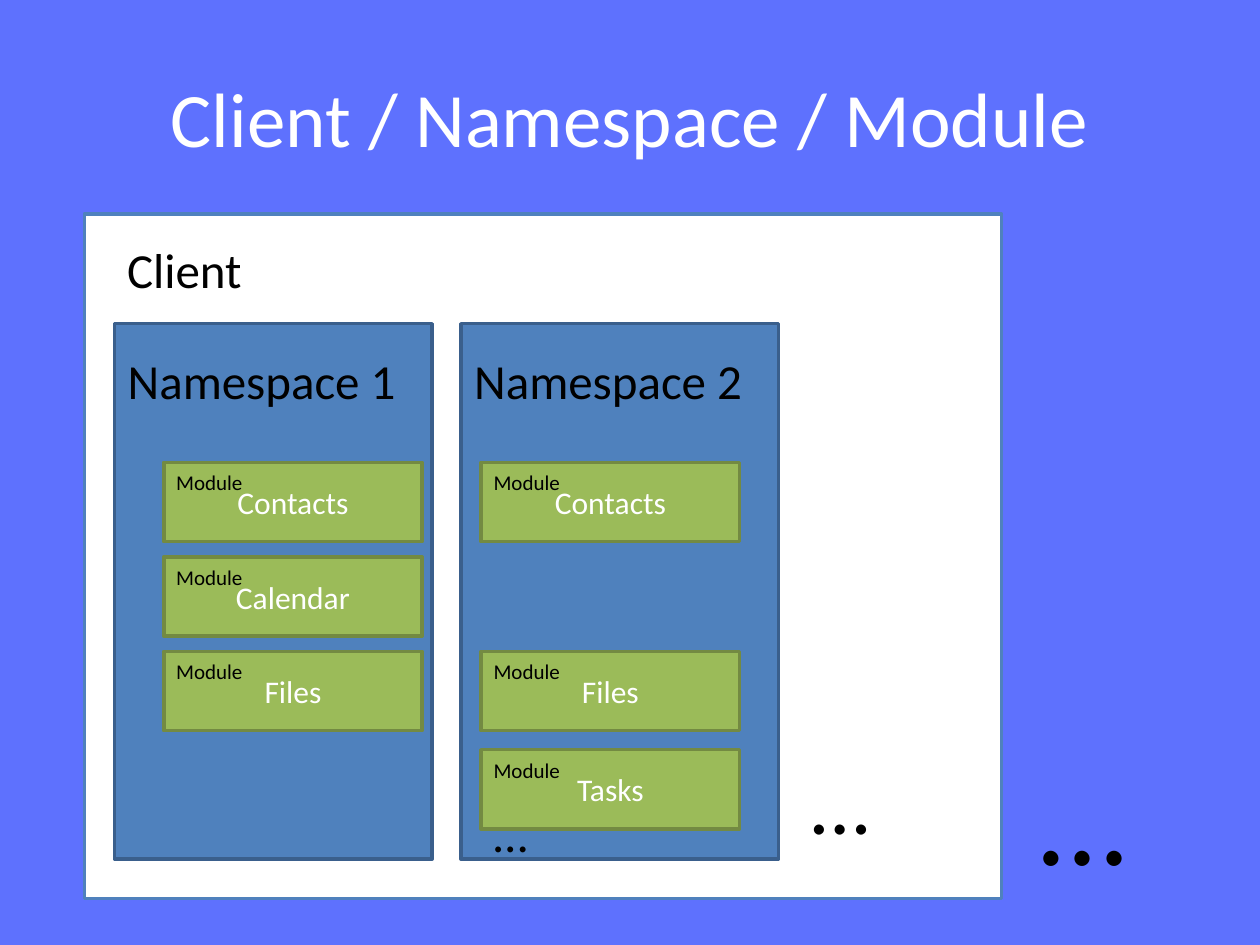
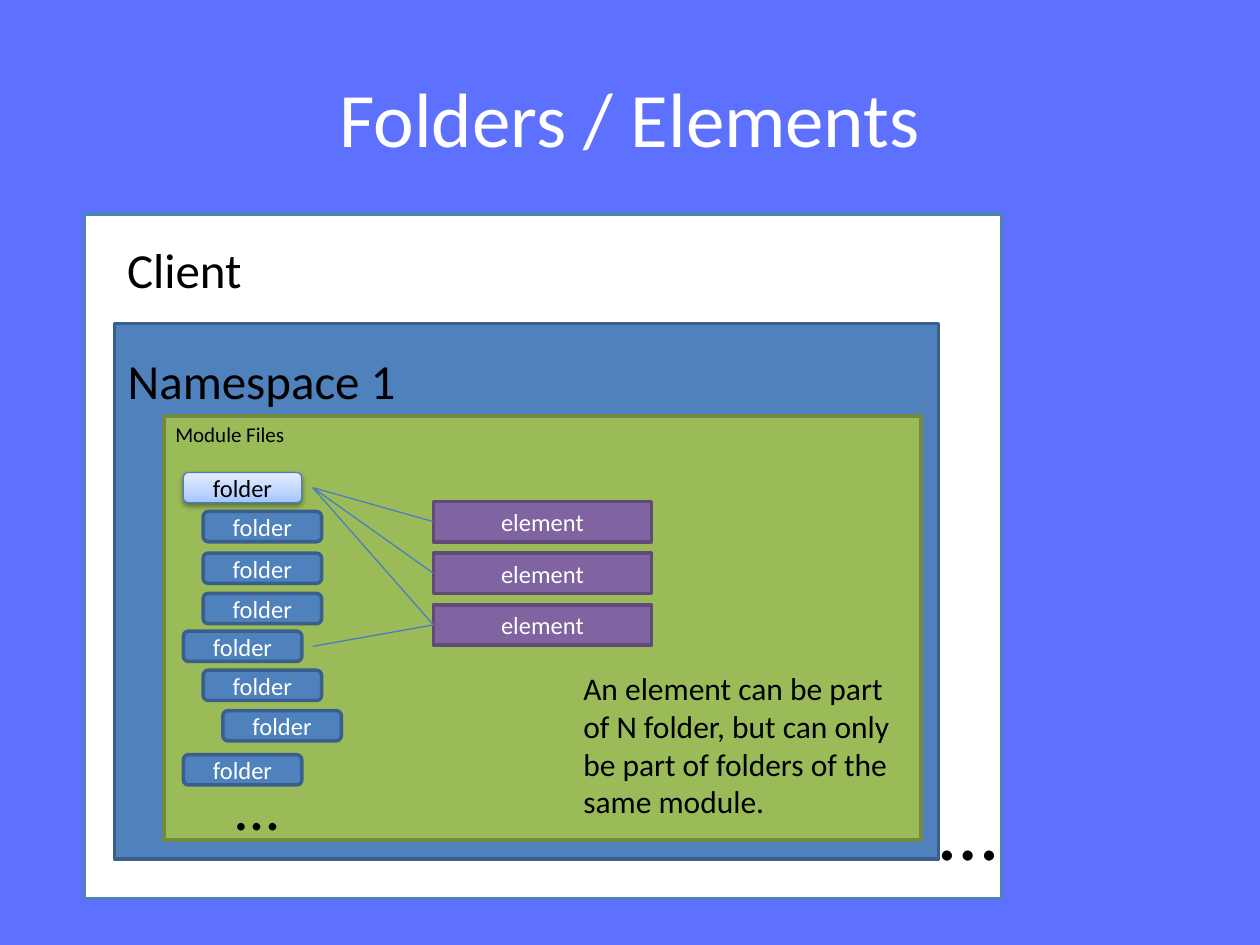
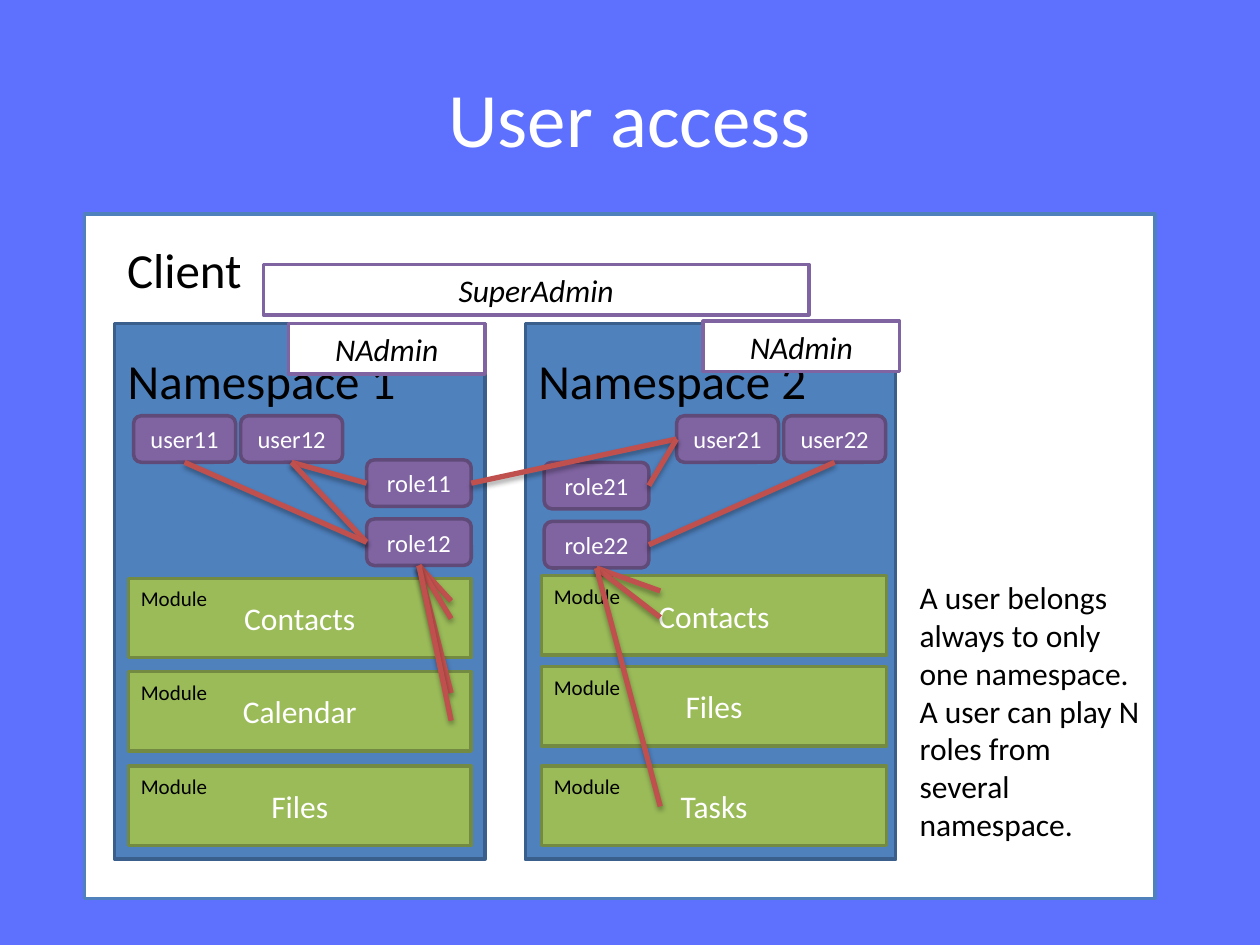
"""Three slides on clients, namespaces, modules, folders and user access."""
from copy import deepcopy
from dataclasses import dataclass

from lxml import etree
from pptx import Presentation
from pptx import util as u
from pptx.dml import color
from pptx.enum import shapes, text
from pptx.oxml import ns

Pt = u.Pt
RECT = shapes.MSO_SHAPE.RECTANGLE
ROUNDED = shapes.MSO_SHAPE.ROUNDED_RECTANGLE


@dataclass(frozen=True)
class Theme:
    """Colours, as fill and outline pairs where needed, and type sizes."""
    font: str = "Calibri"
    backdrop: str = "5E71FE"
    white: str = "FFFFFF"
    black: str = "000000"
    client: tuple = ("FFFFFF", "4F81BD")
    blue: tuple = ("4F81BD", "3A5F8C")
    green: tuple = ("9BBB59", "738A42")
    purple: tuple = ("8064A2", "5F4A78")
    admin: tuple = ("FFFFFF", "8064A2")
    glow: tuple = ((0, "A4C4FF"), (0.35, "BFD4FF"), (1, "E6EEFF"))
    thin_line: str = "4B7EBC"
    access_line: str = "C0504D"
    title: int = 44
    heading: int = 28
    body: int = 18
    chip: int = 14
    small: int = 12


THEME = Theme()


@dataclass(frozen=True)
class Box:
    """A rectangle on the slide, in points."""
    left: float
    top: float
    width: float
    height: float

    def inner(self, left, top, width, height):
        """Return a box placed relative to this one."""
        return Box(self.left + left, self.top + top, width, height)

    def point(self, across, down):
        """Return a point given as fractions of width and height."""
        return self.left + across * self.width, self.top + down * self.height

    def lengths(self):
        """Return left, top, width and height as lengths."""
        return [Pt(v) for v in (self.left, self.top, self.width, self.height)]


CLIENT = Box(48.2, 122.4, 524.2, 391)


def rgb(value):
    """Turn a hex string into a colour."""
    return color.RGBColor.from_string(value)


def add_words(frame, words, size, ink, align=text.PP_ALIGN.LEFT, italic=False):
    """Write one run into the first paragraph of a text frame."""
    para = frame.paragraphs[0]
    para.alignment = align
    span = para.add_run()
    span.text = words
    span.font.name = THEME.font
    span.font.size = Pt(size)
    span.font.italic = italic
    span.font.color.rgb = rgb(ink)


def add_label(page, box, words, size, wrap=True):
    """Place black text that sizes its box."""
    frame = page.shapes.add_textbox(*box.lengths()).text_frame
    frame.word_wrap = wrap
    frame.auto_size = text.MSO_AUTO_SIZE.SHAPE_TO_FIT_TEXT
    add_words(frame, words, size, THEME.black)


def add_dots(page, box, size):
    """Place an ellipsis that stands for further items."""
    add_label(page, box, "…", size, wrap=False)


def add_block(page, box, colours, words="", size=THEME.body, kind=RECT,
              ink=THEME.white, italic=False):
    """Draw an outlined shape, with centred words if given."""
    block = page.shapes.add_shape(kind, *box.lengths())
    block.shadow.inherit = False
    fill, line = colours
    block.fill.solid()
    block.fill.fore_color.rgb = rgb(fill)
    block.line.color.rgb = rgb(line)
    block.line.width = Pt(2)
    if words:
        block.text_frame.vertical_anchor = text.MSO_ANCHOR.MIDDLE
        add_words(block.text_frame, words, size, ink,
                  text.PP_ALIGN.CENTER, italic)
    return block


def add_shadow(effects, alpha, distance):
    """Put a soft shadow that falls straight down into an effect list."""
    outer = etree.SubElement(
        effects, ns.qn("a:outerShdw"), blurRad=str(Pt(3.1)),
        dist=str(Pt(distance)), dir="5400000", rotWithShape="0")
    tint = etree.SubElement(outer, ns.qn("a:srgbClr"), val=THEME.black)
    etree.SubElement(tint, ns.qn("a:alpha"), val=str(alpha * 1000))


def add_line(page, start, end, ink, width, shadow=False):
    """Draw a straight line between two points."""
    line = page.shapes.add_connector(
        shapes.MSO_CONNECTOR.STRAIGHT, *[Pt(v) for v in (*start, *end)])
    line.line.color.rgb = rgb(ink)
    line.line.width = Pt(width)
    effects = etree.SubElement(line._element.spPr, ns.qn("a:effectLst"))
    if shadow:
        add_shadow(effects, 35, 1.8)


def add_page(deck, words):
    """Add a slide with its title."""
    page = deck.slides.add_slide(deck.slide_layouts[5])
    title = page.shapes.title
    title.left, title.top, title.width, title.height = Box(
        36, 21.6, 648, 90).lengths()
    title.text_frame.vertical_anchor = text.MSO_ANCHOR.MIDDLE
    add_words(title.text_frame, words, THEME.title, THEME.white,
              text.PP_ALIGN.CENTER)
    return page


def add_client(page, box):
    """Draw the white client panel with its heading."""
    add_block(page, box, THEME.client)
    add_label(page, box.inner(17.3, 10.8, 80.6, 41), "Client",
              THEME.heading, wrap=False)


def add_namespace(page, client, number, left, width):
    """Draw a blue namespace in the client and return its box."""
    box = client.inner(left, 62.6, width, 306)
    add_block(page, box, THEME.blue)
    add_label(page, box.inner(0.4, 11.5, 169.2, 41), f"Namespace {number}",
              THEME.heading, wrap=False)
    return box


def add_modules(page, namespace, left, width, modules):
    """Draw green modules at their heights in a namespace."""
    for name, top in modules:
        box = namespace.inner(left, top, width, 45.4)
        add_block(page, box, THEME.green, name)
        add_label(page, box.inner(0, 0.8, 62.6, 21.6), "Module", THEME.small)


def add_folders(page, module):
    """Draw the folder tree and return the folder boxes."""
    tree = ((0, 32.4), (1, 54.7), (1, 78.5), (1, 101.5),
            (0, 123.1), (1, 145.4), (2, 168.5), (0, 193.7))
    boxes = [module.inner(11.2 + 11.3 * level, top, 67.7, 17.3)
             for level, top in tree]
    for box in boxes:
        chosen = box is boxes[0]
        folder = add_block(page, box, THEME.blue, "folder", THEME.chip, ROUNDED,
                           THEME.black if chosen else THEME.white)
        if chosen:
            highlight(folder)
    return boxes


def highlight(folder):
    """Give the chosen folder a light gradient, a thin line and a shadow."""
    folder.fill.gradient()
    folder.fill.gradient_angle = 90
    properties = folder._element.spPr
    stops = properties.find(ns.qn("a:gradFill")).find(ns.qn("a:gsLst"))
    stops.append(deepcopy(stops[-1]))
    for stop, (position, tint) in zip(folder.fill.gradient_stops, THEME.glow):
        stop.position = position
        stop.color.rgb = rgb(tint)
    folder.line.color.rgb = rgb(THEME.thin_line)
    folder.line.width = Pt(0.75)
    add_shadow(properties.find(ns.qn("a:effectLst")), 38, 1.6)


def add_elements(page, module):
    """Draw the three elements and return their boxes."""
    boxes = [module.inner(154.1, 49 + 29.5 * row, 124.6, 23)
             for row in range(3)]
    for box in boxes:
        add_block(page, box, THEME.purple, "element", THEME.chip)
    return boxes


def add_chips(page, namespace, places):
    """Draw users and roles in a namespace and return boxes by name."""
    boxes = {}
    for name, (left, top) in places.items():
        width = 58.3 if name.startswith("user") else 59.8
        boxes[name] = namespace.inner(left, top, width, 26.6)
        add_block(page, boxes[name], THEME.purple, name, THEME.chip, ROUNDED)
    return boxes


def add_access(page, start, ends):
    """Draw red access lines from one point to several."""
    for end in ends:
        add_line(page, start, end, THEME.access_line, 3, shadow=True)


def add_admin(page, box, words):
    """Draw a white administrator bar."""
    add_block(page, box, THEME.admin, words, ink=THEME.black, italic=True)


def build_modules_page(deck):
    """Show how a client holds namespaces and modules."""
    page = add_page(deck, "Client / Namespace / Module")
    add_client(page, CLIENT)
    first, second = [add_namespace(page, CLIENT, number + 1,
                                   17.3 + 198 * number, 181.4)
                     for number in range(2)]
    rows = [79.2 + 54 * row for row in range(3)]
    add_modules(page, first, 28.1, 147.6,
                zip(("Contacts", "Calendar", "Files"), rows))
    add_modules(page, second, 11.5, 147.6,
                (("Contacts", rows[0]), ("Files", rows[2]), ("Tasks", 243.4)))
    add_dots(page, CLIENT.inner(408.2, 303.1, 48.2, 65.5), 48)
    add_dots(page, CLIENT.inner(538.6, 296.6, 64.8, 94.3), 72)
    add_dots(page, second.inner(11.5, 270.7, 33.8, 41), THEME.heading)


def build_folders_page(deck):
    """Show how folders of one module share elements."""
    page = add_page(deck, "Folders / Elements")
    add_client(page, CLIENT)
    namespace = add_namespace(page, CLIENT, 1, 17.3, 470.9)
    module = namespace.inner(28.1, 52.6, 432.7, 242.6)
    add_block(page, module, THEME.green)
    add_label(page, module.inner(-0.5, 0, 91.4, 21.6), "Module Files",
              THEME.small)
    add_dots(page, CLIENT.inner(481.7, 317.5, 48.2, 65.5), 48)
    folders = add_folders(page, module)
    add_dots(page, module.inner(33.8, 197.3, 39.6, 51), 36)
    elements = add_elements(page, module)
    for element, folder in ((0, 0), (1, 0), (2, 0), (2, 4)):
        right, middle = folders[folder].point(1, 0.5)
        add_line(page, elements[element].point(0, 0.5), (right + 6.2, middle),
                 THEME.thin_line, 0.75)
    add_label(page, module.inner(232.6, 141.1, 190, 94.3),
              "An element can be part of N folder, but can only be part of "
              "folders of the same module.", THEME.body)


def build_access_page(deck):
    """Show how users reach modules through roles."""
    page = add_page(deck, "User access")
    client = CLIENT.inner(0, 0, 612, CLIENT.height)
    add_client(page, client)
    first, second = [add_namespace(page, client, number + 1,
                                   17.3 + 234.7 * number, 211.7)
                     for number in range(2)]
    add_modules(page, first, 7.9, 195.8,
                (("Contacts", 145.5), ("Calendar", 198.8), ("Files", 252.8)))
    add_modules(page, second, 9.2, 197.3,
                (("Contacts", 144), ("Files", 195.9), ("Tasks", 252.8)))
    chips = add_chips(page, first, {
        "user11": (10.8, 52.6), "user12": (72, 52.6),
        "role11": (144, 77.8), "role12": (144, 111.6)})
    chips |= add_chips(page, second, {
        "role21": (10.8, 79.2), "role22": (10.8, 113),
        "user21": (86.4, 52.6), "user22": (147.6, 52.6)})

    lower = {name: box.point(0.5, 1) for name, box in chips.items()}
    left = {name: box.point(0, 0.5) for name, box in chips.items()}
    right = {name: box.point(1, 0.5) for name, box in chips.items()}
    add_access(page, lower["user12"], (left["role11"], left["role12"]))
    add_access(page, lower["user11"], (left["role12"],))
    add_access(page, lower["role12"],
               [(first.left + 192.3, first.top + down)
                for down in (158.4, 168.5, 211, 226.8)])
    add_access(page, lower["role22"],
               [(second.left + 77.1, second.top + down)
                for down in (152.7, 167.8, 275.8)])
    add_access(page, lower["user22"], (right["role22"],))
    add_access(page, left["user21"], (right["role11"], right["role21"]))

    add_label(page, client.inner(470.2, 204.5, 141.8, 159.8),
              "A user belongs always to only one namespace. A user can play N "
              "roles from several namespace.", THEME.body)
    add_admin(page, second.inner(101.6, -1.4, 112.3, 28.8), "NAdmin")
    add_admin(page, first.inner(99.4, 0, 112.3, 28.8), "NAdmin")
    add_admin(page, client.inner(102.3, 28.8, 311.8, 28.8), "SuperAdmin")


def main():
    """Build the deck and save it."""
    deck = Presentation()
    deck.slide_width, deck.slide_height = Pt(720), Pt(540)
    backdrop = deck.slide_master.background.fill
    backdrop.solid()
    backdrop.fore_color.rgb = rgb(THEME.backdrop)
    for build in (build_modules_page, build_folders_page, build_access_page):
        build(deck)
    deck.save("out.pptx")


main()
